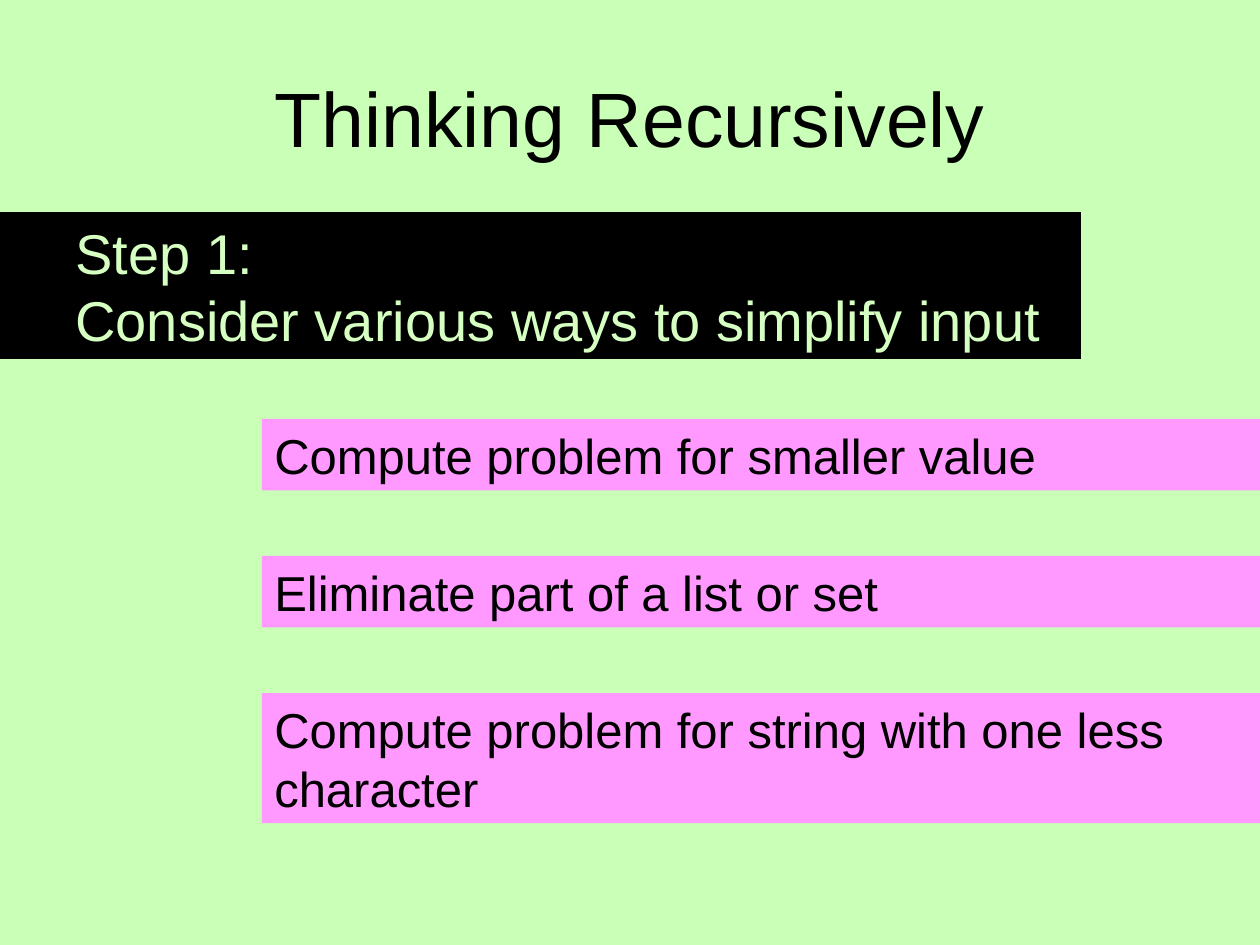
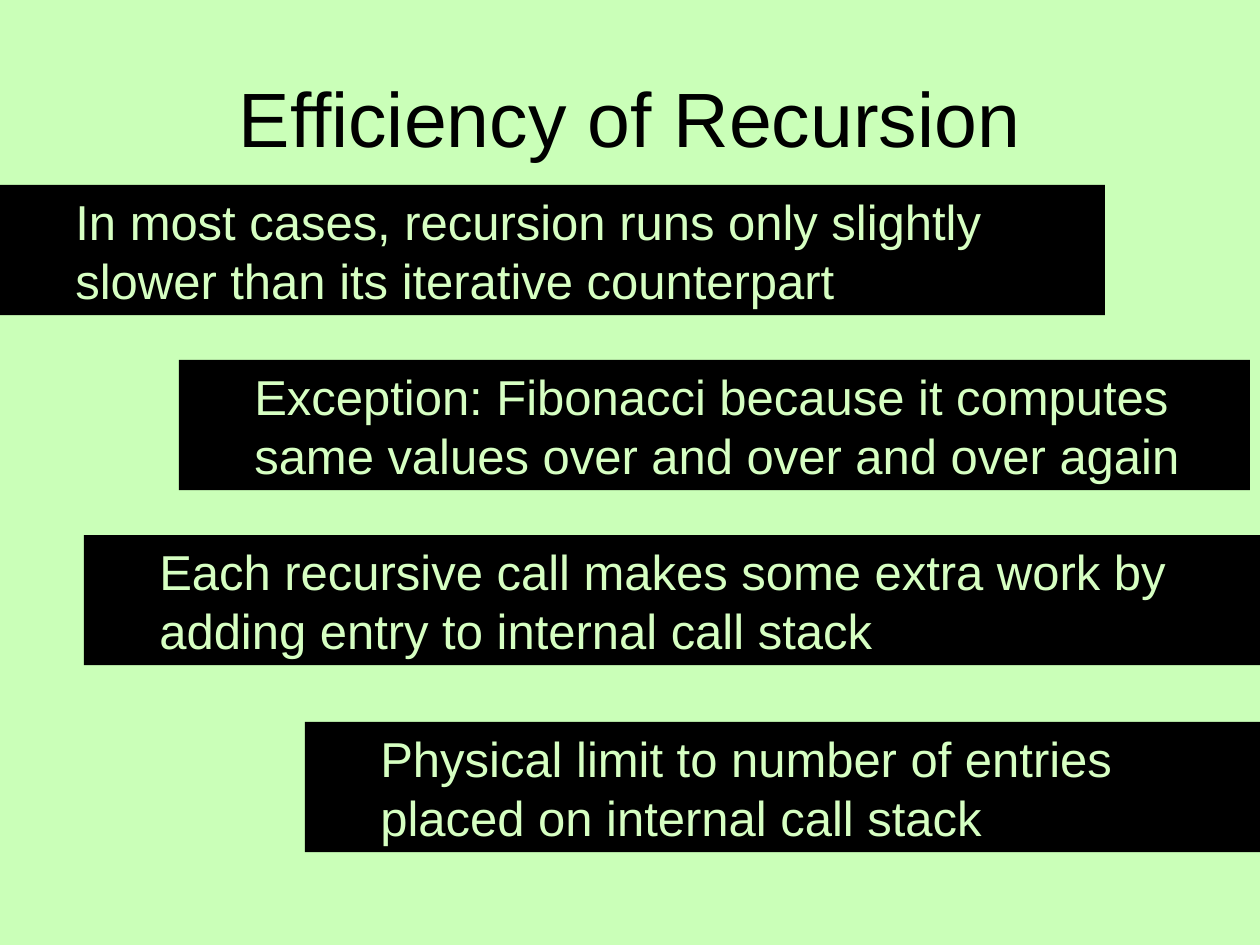
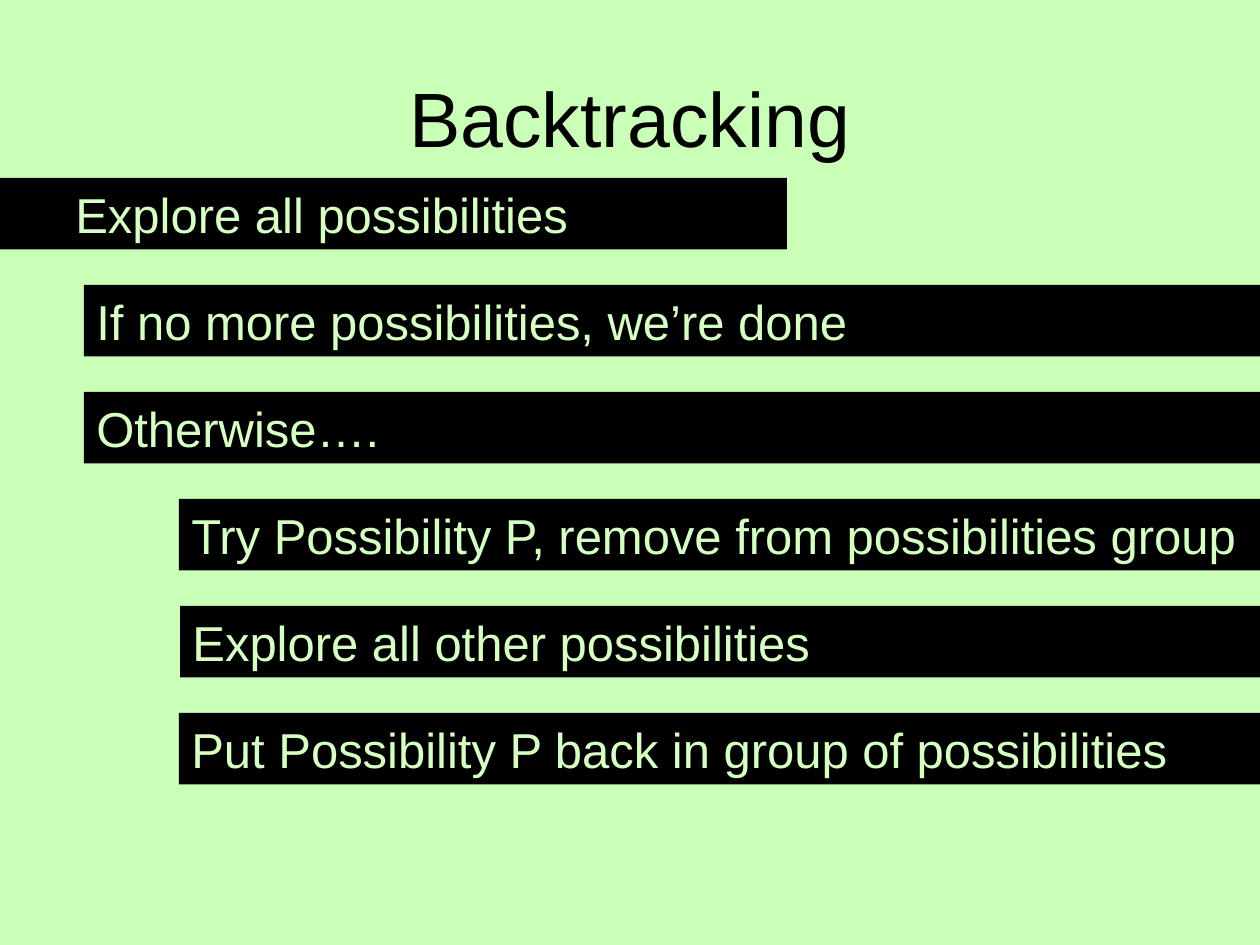
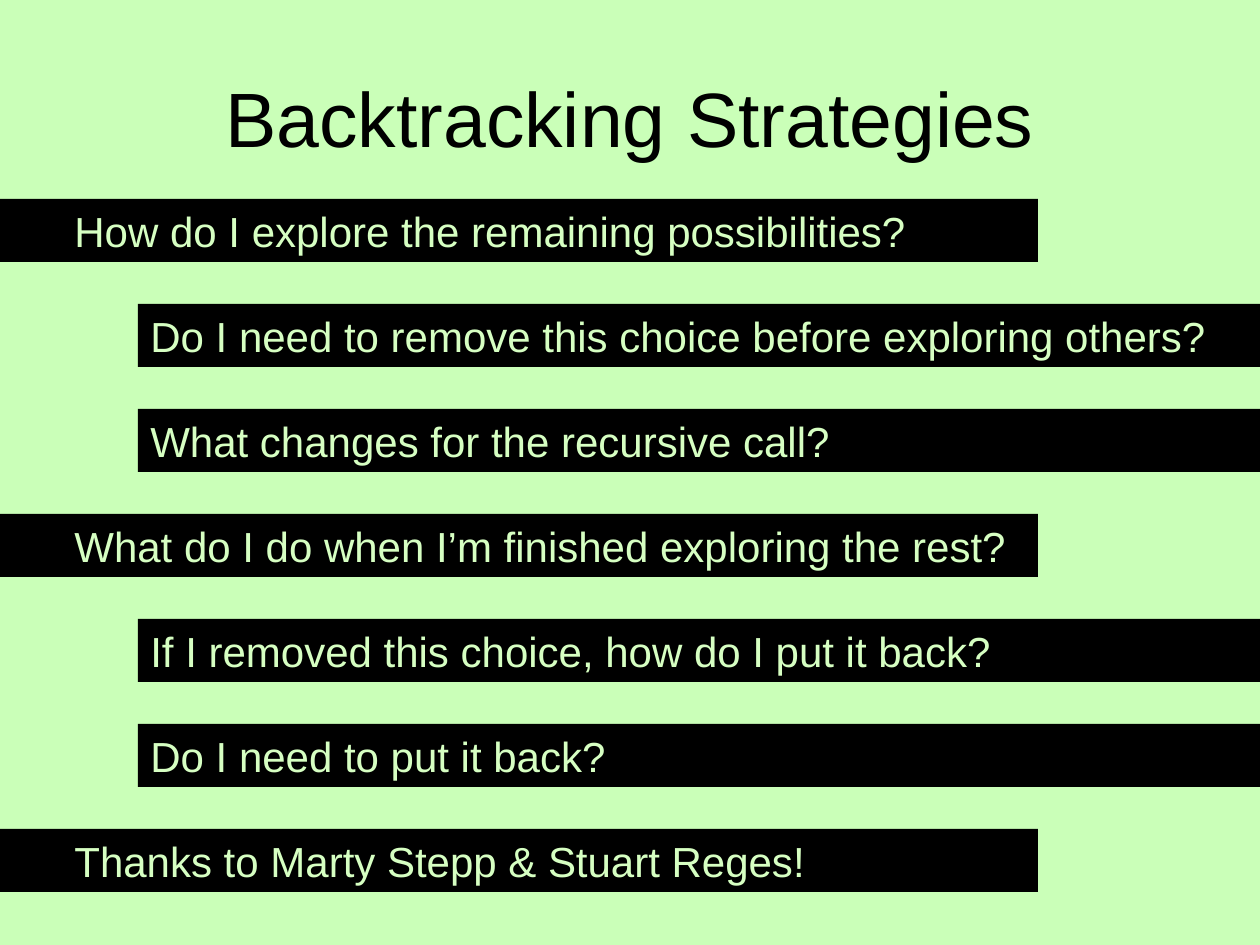
from dataclasses import dataclass

from pptx import Presentation
from pptx import util as u
from pptx.dml.color import RGBColor
from pptx.enum import shapes, text

PX = 914400 // 126
W, H = 1260, 945
FONT = "Arial"
MINT, PALE, BLACK, PINK = "CAFFB8", "D6FFC2", "000000", "FF99FF"
INDENT = 63
PADDING = 12.6
LINE_PX_PER_PT = 2.1


@dataclass(frozen=True)
class Bar:
    text: str
    left: int
    top: int
    right: int = W
    size: int = 28
    lines: int = 1
    indented: bool = False
    fill: str = BLACK
    color: str = PALE


def px(n: float) -> u.Emu:
    return u.Emu(round(n * PX))


def rgb(value: str) -> RGBColor:
    return RGBColor.from_string(value)


def set_font(p, size: int, color: str) -> None:
    p.font.name = FONT
    p.font.size = u.Pt(size)
    p.font.color.rgb = rgb(color)


def add_title(s, title: str) -> None:
    sp = s.shapes.title
    sp.left, sp.top, sp.width, sp.height = px(63), px(38), px(1134), px(157)
    tf = sp.text_frame
    tf.text = title
    tf.vertical_anchor = text.MSO_ANCHOR.MIDDLE
    p = tf.paragraphs[0]
    p.alignment = text.PP_ALIGN.CENTER
    set_font(p, 44, BLACK)


def add_bar(s, bar: Bar) -> None:
    height = bar.lines * bar.size * LINE_PX_PER_PT + PADDING
    sp = s.shapes.add_shape(shapes.MSO_SHAPE.RECTANGLE, px(bar.left), px(bar.top),
                            px(bar.right - bar.left), px(height))
    sp.shadow.inherit = False
    sp.fill.solid()
    sp.fill.fore_color.rgb = rgb(bar.fill)
    sp.line.fill.background()
    tf = sp.text_frame
    tf.word_wrap = True
    tf.auto_size = text.MSO_AUTO_SIZE.SHAPE_TO_FIT_TEXT
    tf.vertical_anchor = text.MSO_ANCHOR.MIDDLE
    p = tf.paragraphs[0]
    p.text = bar.text
    p.alignment = text.PP_ALIGN.LEFT
    set_font(p, bar.size, bar.color)
    if bar.indented:
        p.level = 1
        pPr = p._p.get_or_add_pPr()
        pPr.set("marL", str(px(INDENT)))
        pPr.set("indent", "0")


def add_slide(prs, title: str, bars: list[Bar]) -> None:
    s = prs.slides.add_slide(prs.slide_layouts[5])
    add_title(s, title)
    for bar in bars:
        add_bar(s, bar)


def simplification(row: int, words: str, lines: int = 1) -> Bar:
    return Bar(words, 262, 419 + 137 * row, lines=lines, fill=PINK, color=BLACK)


def remark(words: str, left: int, top: int, right: int = W) -> Bar:
    return Bar(words, left, top, right, lines=2, indented=True)


def step(row: int, words: str, left: int) -> Bar:
    return Bar(words, left, 178 + 107 * row)


def question(row: int, words: str) -> Bar:
    return Bar(words, -1, 199 + 105 * row, 1038, size=24, indented=True)


def detail(row: int, words: str) -> Bar:
    return Bar(words, 138, 199 + 105 * row, size=24)


prs = Presentation()
prs.slide_width, prs.slide_height = px(W), px(H)
background = prs.slide_master.background.fill
background.solid()
background.fore_color.rgb = rgb(MINT)

add_slide(prs, "Thinking Recursively", [
    Bar("Step 1:\vConsider various ways to simplify input", 0, 212, 1081,
        size=32, lines=2, indented=True),
    simplification(0, "Compute problem for smaller value"),
    simplification(1, "Eliminate part of a list or set"),
    simplification(2, "Compute problem for string with one less character", lines=2),
])

add_slide(prs, "Efficiency of Recursion", [
    remark("In most cases, recursion runs only slightly slower than its iterative counterpart",
           0, 185, 1105),
    remark("Each recursive call makes some extra work by adding entry to internal call stack",
           84, 535),
    remark("Exception: Fibonacci because it computes same values over and over and over again",
           179, 360, 1250),
    remark("Physical limit to number of entries placed on internal call stack", 305, 722),
])

add_slide(prs, "Backtracking", [
    Bar("Explore all possibilities", 0, 178, 787, indented=True),
    step(1, "If no more possibilities, we’re done", 84),
    step(2, "Otherwise….", 84),
    step(3, "Try Possibility P, remove from possibilities group", 179),
    step(4, "Explore all other possibilities", 180),
    step(5, "Put Possibility P back in group of possibilities", 179),
])

add_slide(prs, "Backtracking Strategies", [
    question(0, "How do I explore the remaining possibilities?"),
    detail(1, "Do I need to remove this choice before exploring others?"),
    detail(2, "What changes for the recursive call?"),
    question(3, "What do I do when I’m finished exploring the rest?"),
    detail(4, "If I removed this choice, how do I put it back?"),
    detail(5, "Do I need to put it back?"),
    question(6, "Thanks to Marty Stepp & Stuart Reges!"),
])

prs.save("out.pptx")
